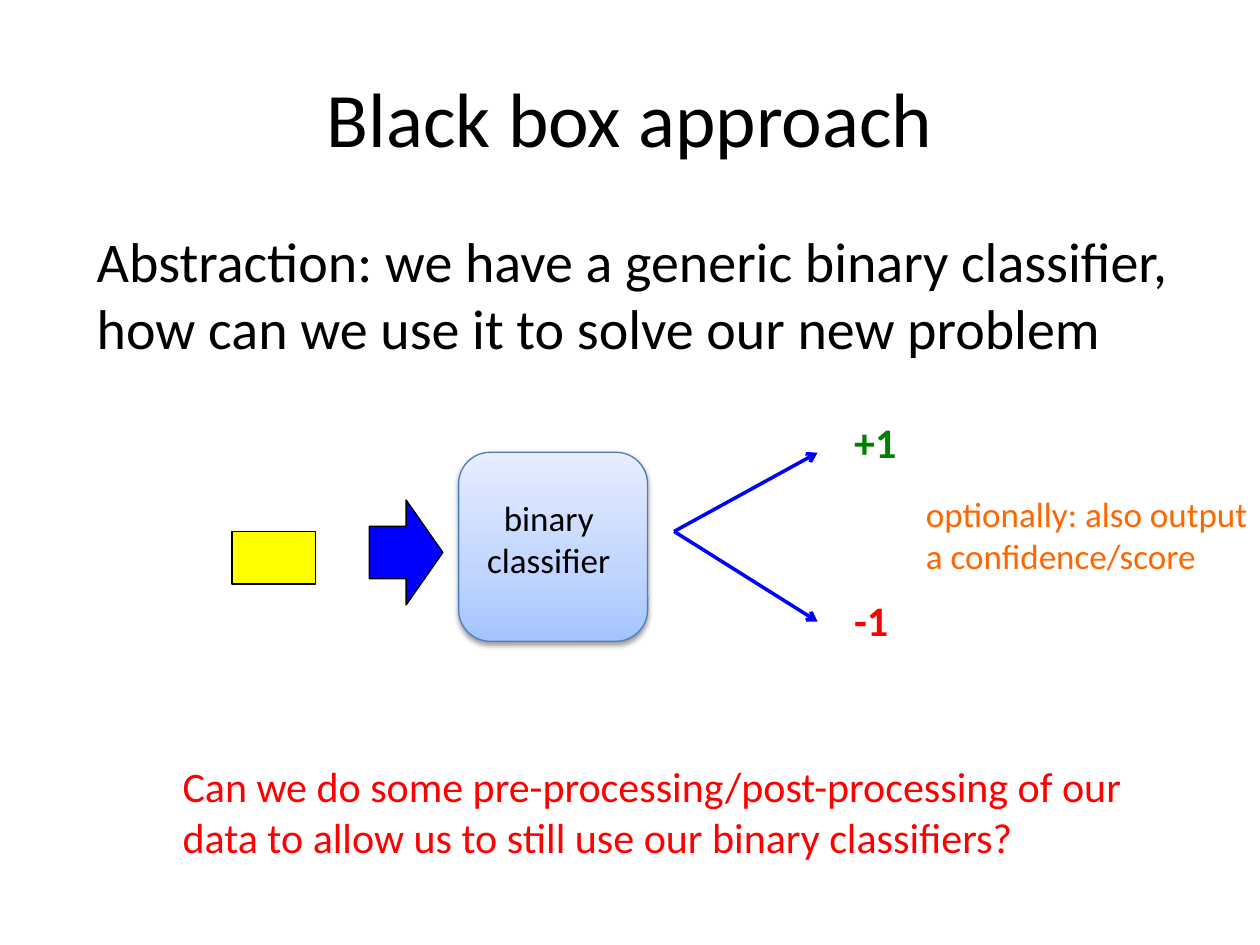
from lxml import etree
from pptx import Presentation
from pptx.dml.color import RGBColor
from pptx.enum.shapes import MSO_CONNECTOR as Connector, MSO_SHAPE as Preset
from pptx.enum.text import MSO_ANCHOR as Anchor, PP_ALIGN as Align
from pptx.oxml import parse_xml
from pptx.oxml.ns import nsdecls, qn
from pptx.util import Pt

FONT = "Calibri"
COLORS = {
    "black": "000000",
    "blue": "0000FF",
    "yellow": "FFFF00",
    "green": "008000",
    "red": "FF0000",
    "orange": "FF6600",
    "box_line": "4B7EBC",
    "box_low": "A4C4FF",
    "box_middle": "BFD4FF",
    "box_high": "E6EEFF",
}


def color(name):
    return RGBColor.from_string(COLORS[name])


def format_paragraph(paragraph, size, color_name, align=Align.LEFT, bold=False):
    paragraph.alignment = align
    paragraph.font.name = FONT
    paragraph.font.size = Pt(size)
    paragraph.font.bold = bold
    paragraph.font.color.rgb = color(color_name)


def add_text(shapes, box, text, size, color_name, wrap=True, **style):
    text_box = shapes.add_textbox(*map(Pt, box))
    frame = text_box.text_frame
    frame.word_wrap = wrap
    frame.text = text
    format_paragraph(frame.paragraphs[0], size, color_name, **style)


def add_preset(shapes, preset, box, line_name):
    shape = shapes.add_shape(preset, *map(Pt, box))
    shape.shadow.inherit = False
    shape.line.color.rgb = color(line_name)
    shape.line.width = Pt(0.75)
    return shape


def add_arrow(shapes, start, end):
    arrow = shapes.add_connector(Connector.STRAIGHT, *map(Pt, start + end))
    arrow.line.color.rgb = color("blue")
    arrow.line.width = Pt(2)
    etree.SubElement(arrow.line._get_or_add_ln(), qn("a:tailEnd"), type="arrow")
    etree.SubElement(arrow._element.spPr, qn("a:effectLst"))


def add_gradient_and_shadow(shape):
    stops = [(0, "box_low"), (35, "box_middle"), (100, "box_high")]
    stop_xml = "".join(
        f'<a:gs pos="{position * 1000}"><a:srgbClr val="{COLORS[name]}"/></a:gs>'
        for position, name in stops
    )
    gradient = parse_xml(
        f'<a:gradFill {nsdecls("a")} rotWithShape="1"><a:gsLst>{stop_xml}</a:gsLst>'
        '<a:lin ang="16200000" scaled="0"/></a:gradFill>'
    )
    properties = shape._element.spPr
    properties.find(qn("a:prstGeom")).addnext(gradient)
    effects = properties.find(qn("a:effectLst"))
    effects.append(parse_xml(
        f'<a:outerShdw {nsdecls("a")} blurRad="{Pt(3.1)}" dist="{Pt(1.6)}" '
        f'dir="5400000" rotWithShape="0"><a:srgbClr val="{COLORS["black"]}">'
        '<a:alpha val="38000"/></a:srgbClr></a:outerShdw>'
    ))


def place_title(slide, box, text):
    title = slide.shapes.title
    title.left, title.top, title.width, title.height = map(Pt, box)
    title.text_frame.text = text
    title.text_frame.vertical_anchor = Anchor.MIDDLE
    format_paragraph(title.text_frame.paragraphs[0], 44, "black", Align.CENTER)


def add_classifier(slide, box):
    left, top, width, height = box
    group = slide.shapes.add_group_shape()
    body = add_preset(group.shapes, Preset.ROUNDED_RECTANGLE, box, "box_line")
    add_gradient_and_shadow(body)
    add_text(group.shapes, (left - 5, top + 21.6, width + 5, 55.4),
             "binary classifier", 20, "black", align=Align.CENTER)


def add_outputs(slide, box):
    left, top, width, height = box
    start = (left, top + 69)
    for label, color_name, end_y, label_y in [
        ("+1", "green", 24, 0),
        ("-1", "red", 120.5, 101.5),
    ]:
        add_arrow(slide.shapes, start, (left + 82, top + end_y))
        add_text(slide.shapes, (left + 95.8, top + label_y, 44, 36), label, 24,
                 color_name, wrap=False, bold=True)
    add_text(slide.shapes, (left + 136.8, top + 43.2, width - 136.8, 55.4),
             "optionally: also output a confidence/score", 20, "orange")


def add_diagram(slide, box):
    left, top, width, height = box
    for preset, part, fill_name in [
        (Preset.RECTANGLE, (0, 69, 48, 30), "yellow"),
        (Preset.RIGHT_ARROW, (78.6, 51, 42, 60), "blue"),
    ]:
        x, y, part_width, part_height = part
        shape = add_preset(slide.shapes, preset,
                           (left + x, top + y, part_width, part_height), "black")
        shape.fill.solid()
        shape.fill.fore_color.rgb = color(fill_name)
    add_classifier(slide, (left + 129.6, top + 23.8, 108, 108))
    add_outputs(slide, (left + 252.7, top, width - 252.7, height))


def main():
    presentation = Presentation()
    presentation.slide_width, presentation.slide_height = Pt(720), Pt(540)
    slide = presentation.slides.add_slide(presentation.slide_layouts[5])
    place_title(slide, (36, 21.6, 648, 90), "Black box approach")
    add_text(slide.shapes, (48.2, 126, 642.2, 88.6),
             "Abstraction: we have a generic binary classifier, "
             "how can we use it to solve our new problem", 32, "black")
    add_diagram(slide, (132.5, 234.7, 594.7, 137.5))
    add_text(slide.shapes, (97.2, 431.3, 575.3, 65.5),
             "Can we do some pre-processing/post-processing of our data "
             "to allow us to still use our binary classifiers?", 24, "red")
    presentation.save("out.pptx")


if __name__ == "__main__":
    main()
